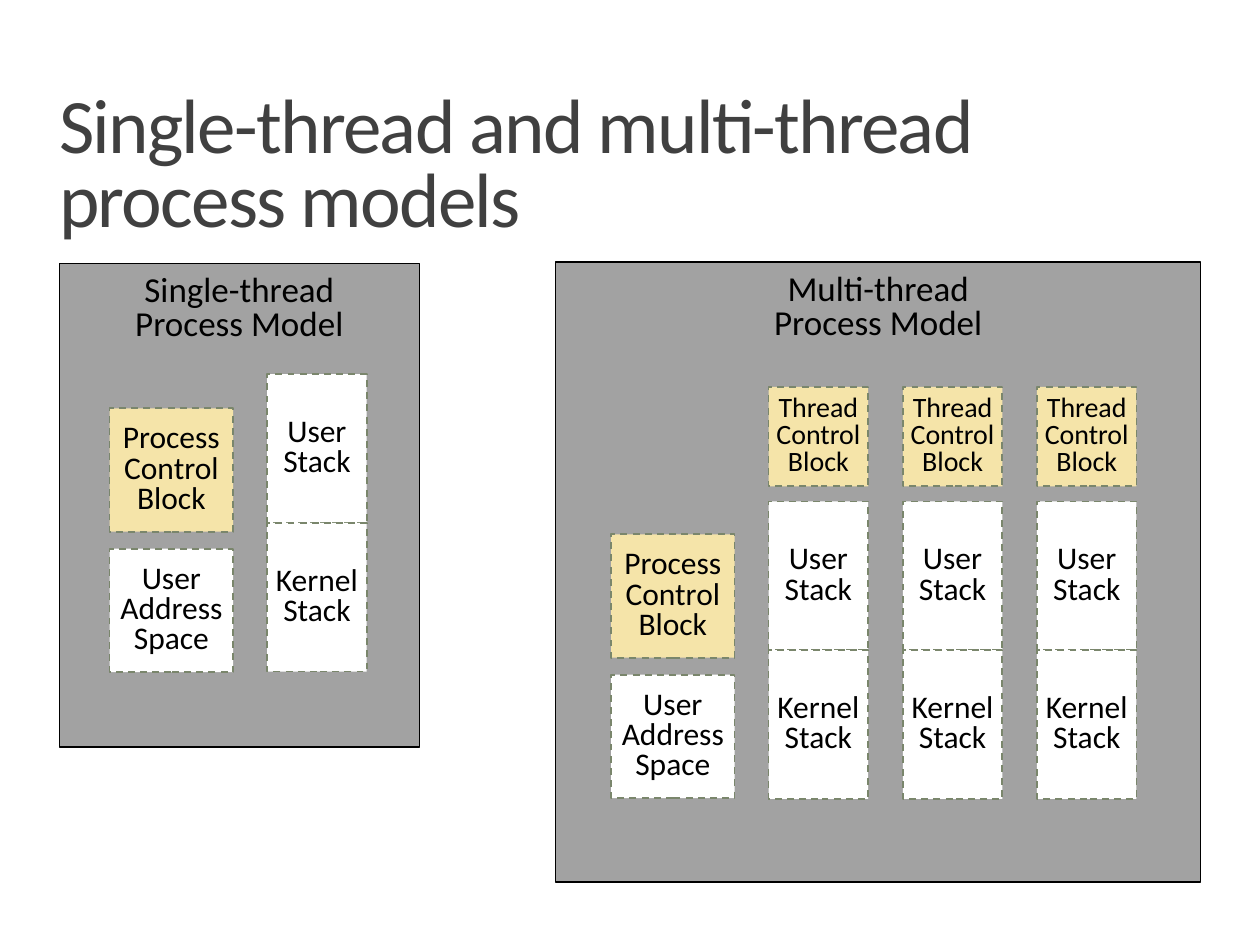
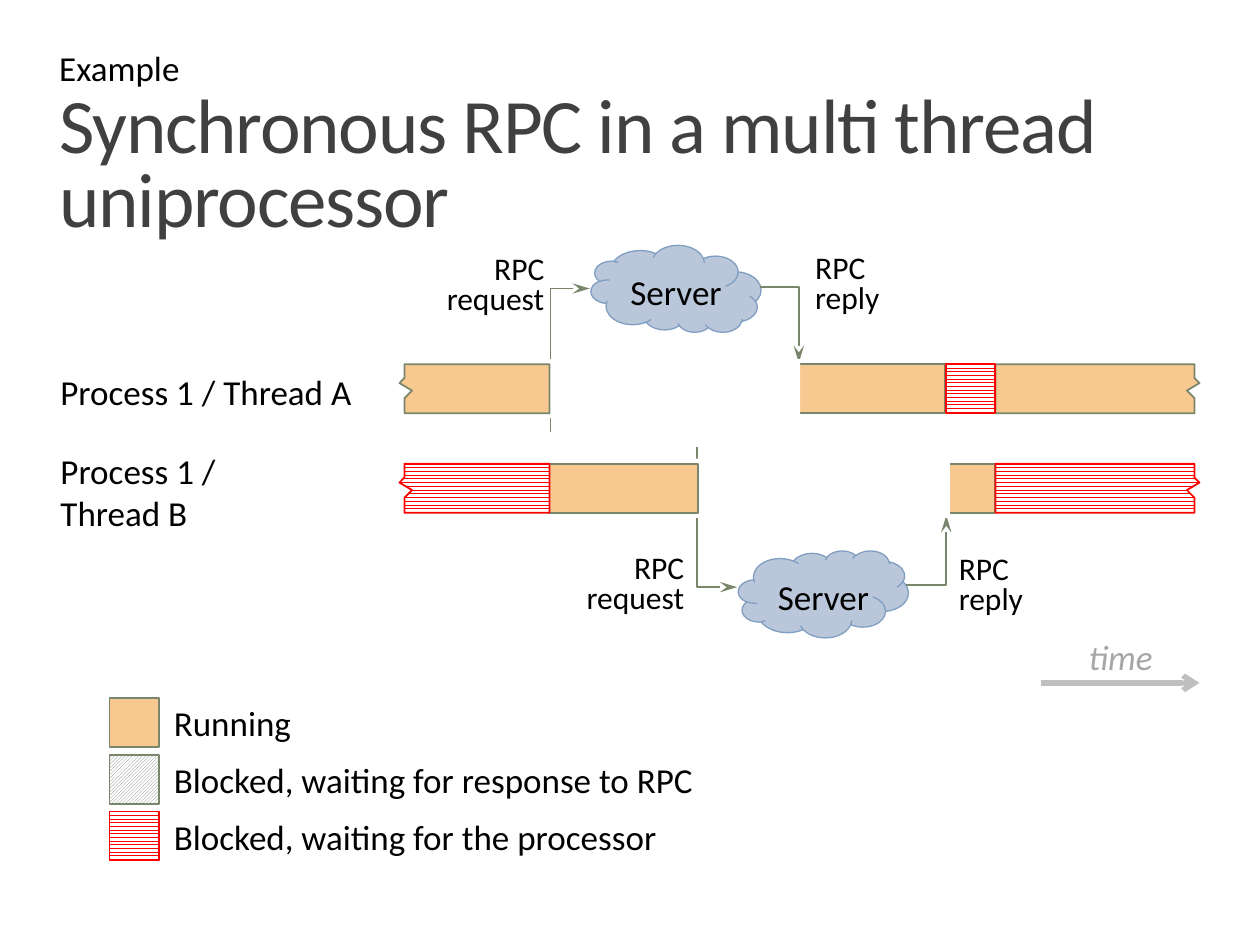
import pptx
import pptx.util
import pptx.dml.color
import pptx.enum.dml
import pptx.enum.shapes
import pptx.enum.text
import pptx.oxml.ns
import lxml.etree
from dataclasses import dataclass

Inches = pptx.util.Inches
Pt = pptx.util.Pt
SHAPE = pptx.enum.shapes.MSO_SHAPE
PATTERN = pptx.enum.dml.MSO_PATTERN
ALIGN = pptx.enum.text.PP_ALIGN
ANCHOR = pptx.enum.text.MSO_ANCHOR


@dataclass(frozen=True)
class Theme:
    font: str = "Calibri"
    title_size: int = 44
    label_size: int = 20
    box_size: int = 18
    small_size: int = 16
    tight: float = 0.8
    title: str = "404040"
    text: str = "000000"
    white: str = "FFFFFF"
    panel: str = "A2A2A2"
    control: str = "F5E4A9"
    outline: str = "7A866C"
    running: str = "F8C891"
    hatch: str = "808080"
    waiting: str = "FF0000"
    cloud: str = "BAC7DA"
    cloud_line: str = "809EC2"
    time_text: str = "A6A6A6"
    time_line: str = "BFBFBF"


THEME = Theme()

# Slide 1: each panel has its frame, the top of its process column and its stacks
MODELS_TITLE = "Single-thread and multi-thread process models"
PANELS = [
    {"title": "Single-thread\nProcess Model", "frame": (0.47, 2.09, 2.86, 3.84),
     "process": (0.87, 3.24), "stacks": (2.12, 2.97), "threads": 1, "thread_block": False},
    {"title": "Multi-thread\nProcess Model", "frame": (4.41, 2.08, 5.12, 4.92),
     "process": (4.85, 4.24), "stacks": (6.1, 3.98), "threads": 3, "thread_block": True},
]
PROCESS_PARTS = [("Process Control Block", THEME.control), ("User Address Space", THEME.white)]
STACK_PARTS = ["User Stack", "Kernel Stack"]
THREAD_BLOCK = "Thread Control Block"
PROCESS_SIDE, PROCESS_STEP = 0.98, 1.115
STACK_WIDTH, STACK_HEIGHT, STACK_STEP = 0.79, 1.18, 1.065
THREAD_BLOCK_RISE = 0.91

# Slide 2: time runs from left to right, one lane per thread
RPC_TITLE = "Synchronous RPC in a multi thread uniprocessor"
RPC_KICKER = "Example"
LANE_A, LANE_B, LANE_HEIGHT = 2.89, 3.68, 0.39
TEAR_LEFT, TEAR_RIGHT = 3.21, 9.48
TEAR = [(0, 0), (0, 0.11), (0.04, 0.15), (-0.06, 0.21), (0, 0.27), (0, LANE_HEIGHT)]
EARLY_BARS = [("running", 6.32, 7.5, LANE_A), ("running", 7.51, 7.9, LANE_B)]
LATE_BARS = [("running", 4.36, 5.54, LANE_B), ("waiting", 7.51, 7.9, LANE_A)]
EARLY_TORN_BARS = [("running", 7.9, TEAR_RIGHT, LANE_A)]
LATE_TORN_BARS = [("running", 4.36, TEAR_LEFT, LANE_A),
                  ("waiting", 7.9, TEAR_RIGHT, LANE_B),
                  ("waiting", 4.36, TEAR_LEFT, LANE_B)]
LANE_GAPS = [(4.35, 6.35, LANE_A), (5.51, 7.54, LANE_B)]
LANE_LABELS = [("Process 1 / Thread A", LANE_A, 2.4), ("Process 1 / Thread B", LANE_B, 2.05)]
CALLS = [
    {"cloud": (4.69, 1.95), "flipped": True,
     "request": [(4.37, 3.43), (4.37, 2.29), (4.68, 2.29)],
     "reply": [(6.03, 2.28), (6.34, 2.28), (6.34, 2.88)],
     "request_label": (4.32, 1.98), "reply_label": (6.47, 1.97)},
    {"cloud": (5.86, 4.37), "flipped": False,
     "request": [(5.53, 3.55), (5.53, 4.66), (5.85, 4.66)],
     "reply": [(7.19, 4.64), (7.51, 4.64), (7.51, 4.09)],
     "request_label": (5.43, 4.35), "reply_label": (7.61, 4.36)},
]
CLOUD_WIDTH, CLOUD_HEIGHT = 1.35, 0.69
LEGEND = [("running", "Running"),
          ("blocked", "Blocked, waiting for response to RPC"),
          ("waiting", "Blocked, waiting for the processor")]
LEGEND_TOP, LEGEND_STEP = 5.54, 0.45
STATES = {  # pattern, main colour, line colour
    "running": (None, THEME.running, THEME.outline),
    "blocked": (PATTERN.LIGHT_UPWARD_DIAGONAL, THEME.hatch, THEME.outline),
    "waiting": (PATTERN.ZIG_ZAG, THEME.waiting, THEME.waiting),
}


def rgb(value):
    return pptx.dml.color.RGBColor.from_string(value)


def write(shape, text, size, color=THEME.text, align=ALIGN.LEFT, anchor=ANCHOR.MIDDLE,
          inset=0, spacing=None, italic=False, tracking=None):
    """Fill the shape with one paragraph; a newline is a line break."""
    frame = shape.text_frame
    frame.word_wrap = True
    frame.vertical_anchor = anchor
    frame.margin_left = frame.margin_right = Inches(inset)
    frame.margin_top = frame.margin_bottom = Inches(inset)
    paragraph = frame.paragraphs[0]
    paragraph.alignment = align
    if spacing:
        paragraph.line_spacing = spacing
    for number, line in enumerate(text.split("\n")):
        if number:
            paragraph.add_line_break()
        run = paragraph.add_run()
        run.text = line
        run.font.name = THEME.font
        run.font.size = Pt(size)
        run.font.color.rgb = rgb(color)
        if italic:
            run.font.italic = True
        if tracking:
            run.font._element.set("spc", str(tracking))


def add_label(slide, left, top, width, height, text, size=THEME.label_size, **style):
    box = slide.shapes.add_textbox(Inches(left), Inches(top), Inches(width), Inches(height))
    write(box, text, size, **style)


def add_title(slide, text, tracking):
    add_label(slide, 0.47, 0.75, 9.06, 0.85, text, THEME.title_size, color=THEME.title,
              anchor=ANCHOR.TOP, spacing=THEME.tight, tracking=tracking)


def paint(shape, fill, line=None, width=1.0):
    shape.shadow.inherit = False
    if fill:
        shape.fill.solid()
        shape.fill.fore_color.rgb = rgb(fill)
    else:
        shape.fill.background()
    if line:
        shape.line.color.rgb = rgb(line)
        shape.line.width = Pt(width)
    else:
        shape.line.fill.background()


def paint_state(shape, state):
    pattern, color, line = STATES[state]
    paint(shape, color, line)
    if pattern is not None:
        shape.fill.patterned()
        shape.fill.pattern = pattern
        shape.fill.fore_color.rgb = rgb(color)
        shape.fill.back_color.rgb = rgb(THEME.white)


def add_shape(slide, left, top, width, height, kind=SHAPE.RECTANGLE):
    return slide.shapes.add_shape(kind, Inches(left), Inches(top), Inches(width), Inches(height))


def add_outline(slide, points, close):
    corners = [(Inches(x), Inches(y)) for x, y in points]
    builder = slide.shapes.build_freeform(*corners[0], scale=1.0)
    builder.add_line_segments(corners[1:], close=close)
    return builder.convert_to_shape()


def add_arrowhead(line, kind, length):
    lxml.etree.SubElement(line._get_or_add_ln(), pptx.oxml.ns.qn("a:tailEnd"),
                          type=kind, w="med", len=length)


def add_block(slide, left, top, width, height, text, fill, size=THEME.box_size):
    block = add_shape(slide, left, top, width, height)
    paint(block, fill, THEME.outline)
    block.line.dash_style = pptx.enum.dml.MSO_LINE.DASH
    write(block, text, size, align=ALIGN.CENTER, inset=0.04, spacing=THEME.tight)


def add_panel(slide, panel):
    frame = add_shape(slide, *panel["frame"])
    paint(frame, THEME.panel, THEME.text, 0.75)
    write(frame, panel["title"], THEME.label_size, align=ALIGN.CENTER, anchor=ANCHOR.TOP,
          inset=0.1, spacing=THEME.tight)
    left, top = panel["process"]
    for row, (text, fill) in enumerate(PROCESS_PARTS):
        add_block(slide, left, top + row * PROCESS_STEP, PROCESS_SIDE, PROCESS_SIDE, text, fill)
    first, top = panel["stacks"]
    for thread in range(panel["threads"]):
        left = first + thread * STACK_STEP
        for row, text in enumerate(STACK_PARTS):
            add_block(slide, left, top + row * STACK_HEIGHT, STACK_WIDTH, STACK_HEIGHT,
                      text, THEME.white)
        if panel["thread_block"]:
            add_block(slide, left, top - THREAD_BLOCK_RISE, STACK_WIDTH, STACK_WIDTH,
                      THREAD_BLOCK, THEME.control, THEME.small_size)


def add_bars(slide, bars, torn_bars):
    for state, start, end, top in bars:
        paint_state(add_shape(slide, start, top, end - start, LANE_HEIGHT), state)
    for state, flat, torn, top in torn_bars:
        outward = 1 if torn > flat else -1
        edge = [(torn + outward * dx, top + dy) for dx, dy in TEAR]
        points = [(flat, top)] + edge + [(flat, top + LANE_HEIGHT)]
        paint_state(add_outline(slide, points, close=True), state)


def add_call(slide, call):
    """Draw a server cloud with its request and reply arrows."""
    left, top = call["cloud"]
    cloud = add_shape(slide, left, top, CLOUD_WIDTH, CLOUD_HEIGHT, SHAPE.CLOUD)
    paint(cloud, THEME.cloud, THEME.cloud_line, 0.75)
    if call["flipped"]:
        cloud._element.spPr.xfrm.set("flipV", "1")
    add_label(slide, left, top + 0.02, CLOUD_WIDTH, CLOUD_HEIGHT, "Server", align=ALIGN.CENTER)
    for name in ("request", "reply"):
        arrow = add_outline(slide, call[name], close=False)
        paint(arrow, None, THEME.outline)
        add_arrowhead(arrow.line, "stealth", "lg")
    right, top = call["request_label"]
    add_label(slide, right - 1, top, 1, 0.59, "RPC\nrequest", THEME.box_size,
              align=ALIGN.RIGHT, spacing=THEME.tight)
    left, top = call["reply_label"]
    add_label(slide, left, top, 0.8, 0.59, "RPC\nreply", THEME.box_size, spacing=THEME.tight)


def add_time_arrow(slide):
    arrow = slide.shapes.add_connector(pptx.enum.shapes.MSO_CONNECTOR.STRAIGHT,
                                       Inches(8.26), Inches(5.42), Inches(9.52), Inches(5.42))
    arrow.line.color.rgb = rgb(THEME.time_line)
    arrow.line.width = Pt(3)
    add_arrowhead(arrow.line, "arrow", "med")
    lxml.etree.SubElement(arrow._element.spPr, pptx.oxml.ns.qn("a:effectLst"))
    add_label(slide, 8.53, 4.99, 0.73, 0.44, "time", color=THEME.time_text,
              align=ALIGN.CENTER, italic=True)


def build_models_slide(slide):
    add_title(slide, MODELS_TITLE, -100)
    for panel in PANELS:
        add_panel(slide, panel)


def build_rpc_slide(slide):
    add_title(slide, RPC_TITLE, -70)
    add_label(slide, 0.47, 0.31, 9.06, 0.39, RPC_KICKER, anchor=ANCHOR.BOTTOM)
    add_bars(slide, EARLY_BARS, EARLY_TORN_BARS)
    for text, top, width in LANE_LABELS:
        add_label(slide, 0.48, top + 0.05, width, 0.34, text)
    for row, (state, text) in enumerate(LEGEND):
        top = LEGEND_TOP + row * LEGEND_STEP
        paint_state(add_shape(slide, 0.87, top, LANE_HEIGHT, LANE_HEIGHT), state)
        add_label(slide, 1.38, top, 4.8, LANE_HEIGHT, text)
    add_time_arrow(slide)
    for call in CALLS:
        add_call(slide, call)
    for start, end, top in LANE_GAPS:  # the gap interrupts arrows and open bar ends
        gap = add_shape(slide, start, top - 0.04, end - start, LANE_HEIGHT + 0.08)
        paint(gap, THEME.white)
    add_bars(slide, LATE_BARS, LATE_TORN_BARS)


def main():
    presentation = pptx.Presentation()
    presentation.slide_width, presentation.slide_height = Inches(10), Inches(7.5)
    blank = presentation.slide_layouts[6]
    for build in (build_models_slide, build_rpc_slide):
        build(presentation.slides.add_slide(blank))
    presentation.save("out.pptx")


if __name__ == "__main__":
    main()
